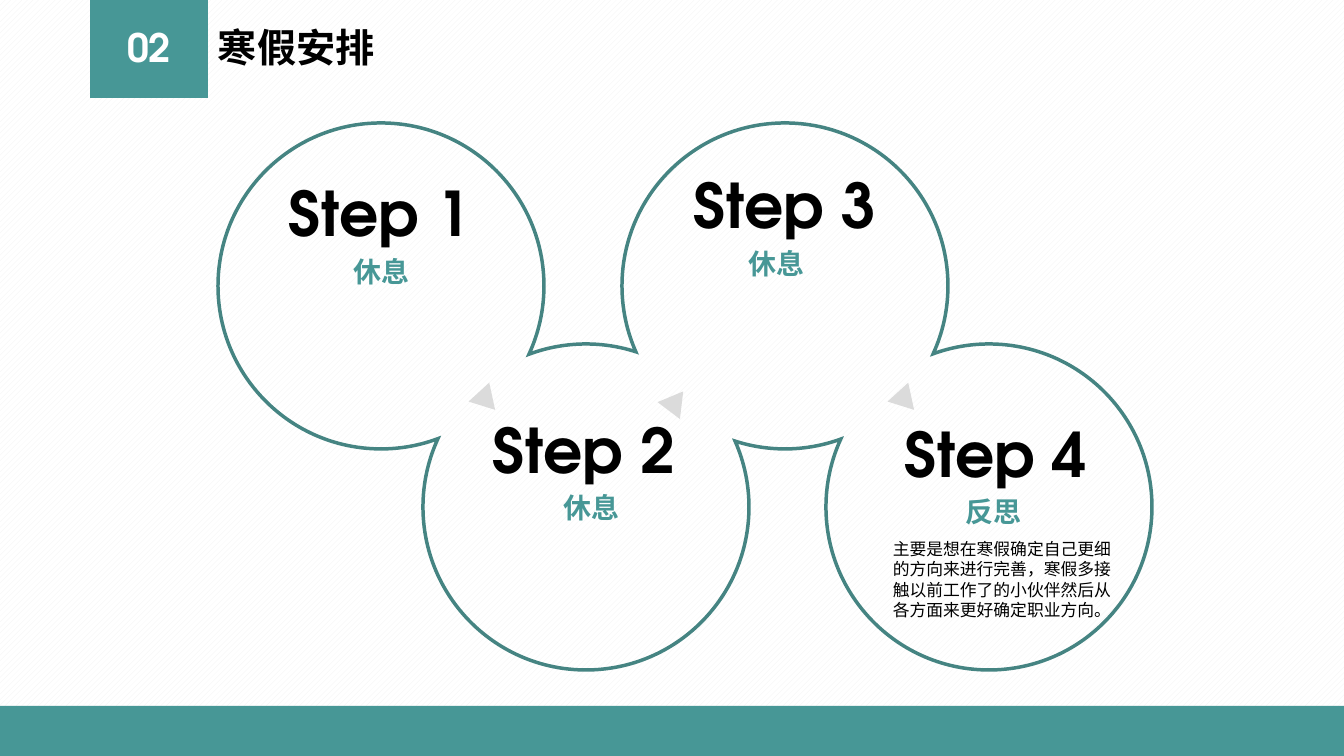
import math

import lxml.etree
import pptx
import pptx.dml.color
import pptx.enum.dml
import pptx.enum.shapes
import pptx.enum.text
import pptx.oxml.ns
import pptx.util

PX = 914400 / 100.8
SHAPE = pptx.enum.shapes.MSO_SHAPE
ALIGN = pptx.enum.text.PP_ALIGN
ANCHOR = pptx.enum.text.MSO_ANCHOR
FIT = pptx.enum.text.MSO_AUTO_SIZE


class Theme:
    font = "TeX Gyre Adventor"
    teal, outline, arrow = "479796", "458482", "DBDBDB"
    black, white, stripe = "000000", "FFFFFF", "F2F2F2"
    heading, step, label, body = 28, 44, 20, 12
    outline_width = 2.5


RADIUS = 163
CENTRES = [(381, 286), (586, 507), (785, 286), (989, 507)]

# Title and label offsets are measured from the box around each circle
STEPS = [
    {"title": "Step 1", "title_at": (61, 47), "label": "休息", "label_at": (125, 127)},
    {"title": "Step 2", "title_at": (60, 63), "label": "休息", "label_at": (130, 142)},
    {"title": "Step 3", "title_at": (62, 39), "label": "休息", "label_at": (116, 119)},
    {"title": "Step 4", "title_at": (69, 67), "label": "反思", "label_at": (129, 146),
     "body": "主要是想在寒假确定自己更细的方向来进行完善，寒假多接触以前工作了的小伙伴然后从各方面来更好确定职业方向。"},
]
ARROWS = [(473, 137.6), (662, 37.1), (892, 137.6)]


def emu(*lengths):
    return [round(length * PX) for length in lengths]


def rgb(value):
    return pptx.dml.color.RGBColor.from_string(value)


def apply_format(target, values):
    for name, value in values.items():
        setattr(target, name, value)


def add_block(slide, kind, box, color, rotation=0):
    block = slide.shapes.add_shape(kind, *emu(*box))
    block.shadow.inherit = False
    block.fill.solid()
    block.fill.fore_color.rgb = rgb(color)
    block.line.fill.background()
    block.rotation = rotation


def add_text(slide, box, text, size, color, bold=True, frame=None, paragraph=None):
    words = slide.shapes.add_textbox(*emu(*box)).text_frame
    apply_format(words, {"word_wrap": True, **(frame or {})})
    line = words.paragraphs[0]
    line.text = text
    apply_format(line, paragraph or {})
    font = line.runs[0].font
    apply_format(font, {"name": Theme.font, "size": pptx.util.Pt(size), "bold": bold})
    font.color.rgb = rgb(color)


def add_background(slide):
    fill = slide.background.fill
    fill.patterned()
    fill.pattern = pptx.enum.dml.MSO_PATTERN.WIDE_UPWARD_DIAGONAL
    fill.fore_color.rgb = rgb(Theme.stripe)
    fill.back_color.rgb = rgb(Theme.white)


def add_header(slide, box, number, title):
    left, top, width, height = box
    add_block(slide, SHAPE.RECTANGLE, box, Theme.teal)
    frame = {"vertical_anchor": ANCHOR.MIDDLE}
    add_text(slide, (left, top + 26, width, 47), number, Theme.heading, Theme.white,
             frame=frame, paragraph={"alignment": ALIGN.CENTER, "line_spacing": 0.9})
    add_text(slide, (left + width, top + 26, 523, 47), title, Theme.heading, Theme.black,
             frame=frame, paragraph={"line_spacing": 0.9})


def crossing(first, second, side):
    """Point where two circles meet: side 1 is the upper one, -1 the lower."""
    dx, dy = second[0] - first[0], second[1] - first[1]
    distance = math.hypot(dx, dy)
    reach = side * math.sqrt(RADIUS ** 2 - distance ** 2 / 4) / distance
    return (first[0] + dx / 2 + dy * reach, first[1] + dy / 2 - dx * reach)


def arc(centre, start, end):
    """Bezier points clockwise along a circle, three per curve, cut at quadrants."""
    cx, cy = centre
    quarter = math.pi / 2
    begin = math.atan2(start[1] - cy, start[0] - cx)
    finish = begin + (math.atan2(end[1] - cy, end[0] - cx) - begin) % math.tau
    cuts = range(math.floor(begin / quarter) + 1, math.ceil(finish / quarter))
    stops = [begin, *(cut * quarter for cut in cuts), finish]
    points = []
    for a, b in zip(stops, stops[1:]):
        pull = 4 / 3 * math.tan((b - a) / 4)
        for angle, tangent in ((a, pull), (b, -pull), (b, 0)):
            cos, sin = math.cos(angle), math.sin(angle)
            points.append((cx + RADIUS * (cos - tangent * sin),
                           cy + RADIUS * (sin + tangent * cos)))
    return points


def add_circle_outline(slide, centres):
    pairs = list(zip(centres, centres[1:]))
    joints = [crossing(*pair, 1) for pair in pairs]
    joints += [crossing(*pair, -1) for pair in reversed(pairs)]
    points = []
    for i, centre in enumerate(centres + centres[-2:0:-1]):
        points += arc(centre, joints[i - 1], joints[i])
    builder = slide.shapes.build_freeform(*emu(*joints[-1]), scale=1.0)
    builder.add_line_segments([emu(*point) for point in points], close=True)
    outline = builder.convert_to_shape()
    # Each three line points become one curve
    qn = pptx.oxml.ns.qn
    steps = list(outline._element.iter(qn("a:lnTo")))
    for i in range(0, len(points), 3):
        curve = lxml.etree.Element(qn("a:cubicBezTo"))
        steps[i].addprevious(curve)
        for step in steps[i:i + 3]:
            curve.append(step[0])
            step.getparent().remove(step)
    outline.shadow.inherit = False
    outline.fill.background()
    outline.line.color.rgb = rgb(Theme.outline)
    outline.line.width = pptx.util.Pt(Theme.outline_width)
    # Pointed corners where the circles meet
    stroke = outline.line._get_or_add_ln()
    lxml.etree.SubElement(stroke, qn("a:miter"), lim="800000")


def add_step(slide, corner, step):
    left, top = corner
    centred = {"alignment": ALIGN.CENTER}
    fitted = {"auto_size": FIT.SHAPE_TO_FIT_TEXT}
    one_line = {**fitted, "word_wrap": False}
    x, y = step["title_at"]
    add_text(slide, (left + x, top + y, 205, 85), step["title"], Theme.step, Theme.black,
             frame=one_line)
    x, y = step["label_at"]
    add_text(slide, (left + x, top + y, 77, 44), step["label"], Theme.label, Theme.teal,
             frame=one_line, paragraph=centred)
    if "body" in step:
        add_text(slide, (left + 53, top + 190, 246, 92), step["body"], Theme.body,
                 Theme.black, bold=False, frame=fitted, paragraph=centred)


def main():
    deck = pptx.Presentation()
    deck.slide_width, deck.slide_height = emu(1344, 756)
    slide = deck.slides.add_slide(deck.slide_layouts[6])

    # Background, header and footer band
    add_background(slide)
    add_header(slide, (90, 0, 118, 98), "02", "寒假安排")
    add_block(slide, SHAPE.RECTANGLE, (0, 706, 1344, 50), Theme.teal)

    # Merged circles with their steps
    add_circle_outline(slide, CENTRES)
    for (cx, cy), step in zip(CENTRES, STEPS):
        add_step(slide, (cx - RADIUS, cy - RADIUS), step)

    # Arrows from step to step
    for left, rotation in ARROWS:
        add_block(slide, SHAPE.ISOSCELES_TRIANGLE, (left, 389, 28, 24), Theme.arrow, rotation)

    deck.save("out.pptx")


if __name__ == "__main__":
    main()
